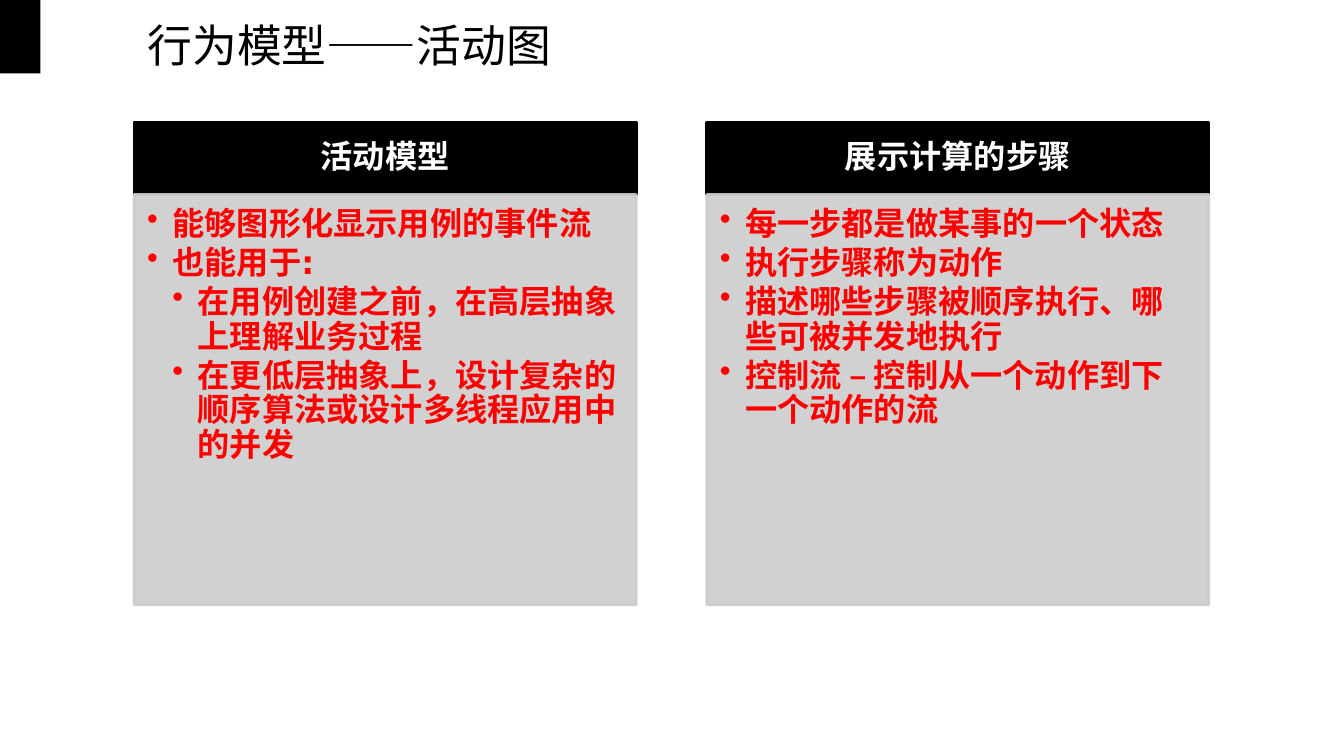
"""Build the activity diagram slide with two titled bullet panels."""
from lxml.etree import SubElement
from pptx import Presentation
from pptx.dml.color import RGBColor
from pptx.enum.shapes import MSO_SHAPE as Shape
from pptx.enum.text import MSO_ANCHOR as Anchor, PP_ALIGN as Align
from pptx.oxml.ns import qn
from pptx.util import Inches, Pt

BLACK = RGBColor(0x00, 0x00, 0x00)
WHITE = RGBColor(0xFF, 0xFF, 0xFF)
GRAY = RGBColor(0xCC, 0xCC, 0xCC)
RED = RGBColor(0xFF, 0x00, 0x00)

TOP, WIDE, HEAD, BODY = 1.21, 4.98, 0.72, 4.07
PANELS = [
    (1.33, "活动模型", [
        (1, "能够图形化显示用例的事件流"),
        (1, "也能用于:"),
        (2, "在用例创建之前，在高层抽象上理解业务过程"),
        (2, "在更低层抽象上，设计复杂的顺序算法或设计多线程应用中的并发"),
    ]),
    (7.01, "展示计算的步骤", [
        (1, "每一步都是做某事的一个状态"),
        (1, "执行步骤称为动作"),
        (1, "描述哪些步骤被顺序执行、哪些可被并发地执行"),
        (1, "控制流 – 控制从一个动作到下一个动作的流"),
    ]),
]


def add_box(left, top, wide, high, color, pads):
    box = slide.shapes.add_shape(
        Shape.RECTANGLE, Inches(left), Inches(top), Inches(wide), Inches(high))
    box.shadow.inherit = False
    box.fill.solid()
    box.fill.fore_color.rgb = color
    box.line.color.rgb = color
    box.line.width = Pt(2)
    frame = box.text_frame
    frame.word_wrap = True
    (frame.margin_left, frame.margin_top,
     frame.margin_right, frame.margin_bottom) = map(Inches, pads)
    return box


def style(para, face, size, color, bold, space):
    para.line_spacing = space
    for run in para.runs:
        run.font.name = face
        run.font.size = Pt(size)
        run.font.color.rgb = color
        run.font.bold = bold


deck = Presentation()
deck.slide_width = Inches(13.33)
deck.slide_height = Inches(7.5)
slide = deck.slides.add_slide(deck.slide_layouts[6])

mark = add_box(0, 0, 0.4, 0.73, BLACK, (0, 0, 0, 0))
mark.line.fill.background()

title = slide.shapes.add_textbox(0, 0, Inches(5.69), Inches(0.73))
title.left = Inches(0.62)
title.text_frame.word_wrap = True
title.text_frame.vertical_anchor = Anchor.MIDDLE
title.text_frame.text = "行为模型——活动图"
para = title.text_frame.paragraphs[0]
para.alignment = Align.CENTER
style(para, "Times New Roman", 32, BLACK, False, 1.3)

for left, name, items in PANELS:
    head = add_box(left, TOP, WIDE, HEAD, BLACK, (0.18, 0.1, 0.18, 0.1))
    head.text_frame.vertical_anchor = Anchor.MIDDLE
    head.text_frame.text = name
    para = head.text_frame.paragraphs[0]
    para.alignment = Align.CENTER
    style(para, "DejaVu Sans", 23, WHITE, True, 0.9)

    body = add_box(left, TOP + HEAD, WIDE, BODY, GRAY, (0.13, 0.13, 0.18, 0.2))
    for tint in body.element.spPr.iter(qn("a:srgbClr")):
        SubElement(tint, qn("a:alpha"), val="90000")
    frame = body.text_frame
    frame.vertical_anchor = Anchor.TOP
    frame.text = "\n".join(text for level, text in items)
    for para, (level, text) in zip(frame.paragraphs, items):
        props = para._p.get_or_add_pPr()
        props.set("marL", str(Inches(0.25 * level)))
        props.set("indent", str(Inches(-0.25)))
        SubElement(props, qn("a:buChar"), char="•")
        para.level = level
        para.alignment = Align.LEFT
        para.space_after = Pt(3)
        style(para, "DejaVu Sans", 23, RED, True, 0.9)

deck.save("out.pptx")
